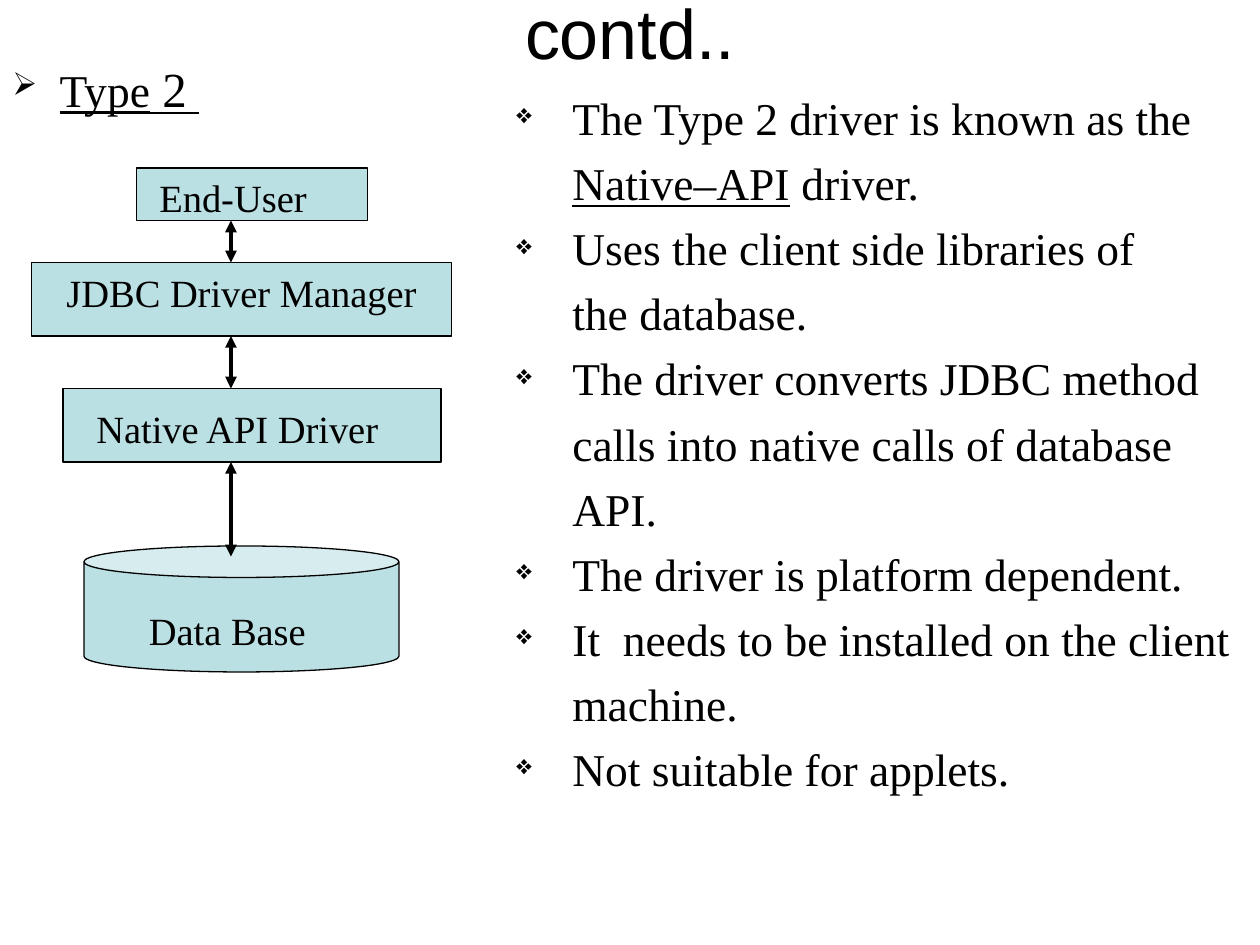
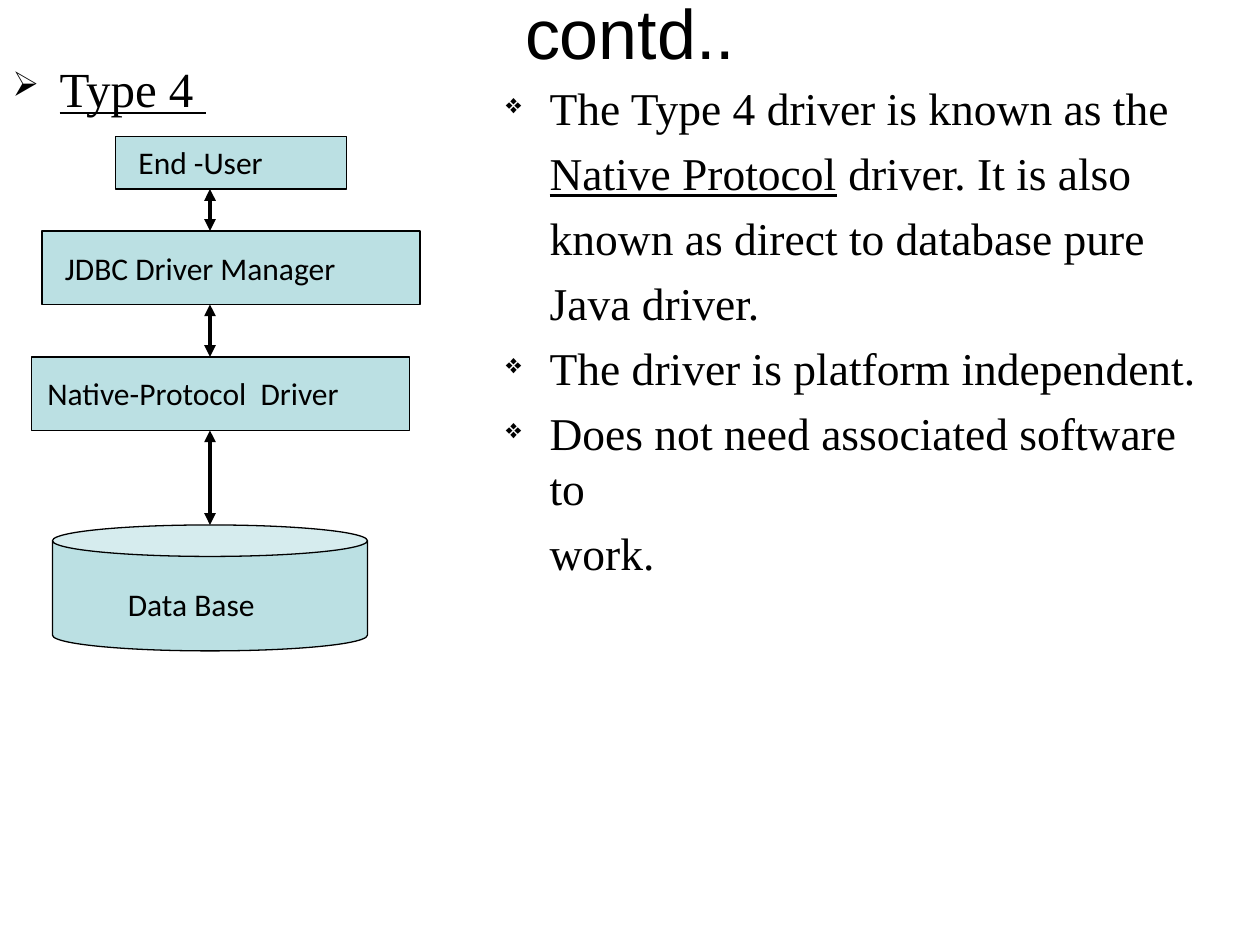
from lxml import etree
from pptx import Presentation
from pptx.dml.color import RGBColor
from pptx.enum.shapes import MSO_CONNECTOR, MSO_SHAPE
from pptx.enum.text import MSO_ANCHOR, MSO_AUTO_SIZE, PP_ALIGN
from pptx.oxml.ns import qn
from pptx.util import Pt

BLACK = RGBColor(0x00, 0x00, 0x00)
TEAL = RGBColor(0xBB, 0xE0, 0xE3)
SERIF = "Times New Roman"
SANS = "Calibri"
RECT = MSO_SHAPE.RECTANGLE
CAN = MSO_SHAPE.CAN
LINE = MSO_CONNECTOR.STRAIGHT
LEFT = PP_ALIGN.LEFT
MID = PP_ALIGN.CENTER
TOP = MSO_ANCHOR.TOP
CENTER = MSO_ANCHOR.MIDDLE
FIXED = MSO_AUTO_SIZE.NONE

TYPE_TWO = {
    "title": (0, 6, 720, 24),
    "head": "_Type__ 2 _",
    "sizes": (26, 28),
    "font": SERIF,
    "size": 22,
    "parts": [(RECT, 78, 96, 132, 30), (RECT, 18, 150, 240, 42),
              (RECT, 36, 222, 216, 42), (CAN, 48, 312, 180, 72)],
    "labels": [("End-User", 84, 96, 120, LEFT),
               ("JDBC Driver Manager", 18, 150, 240, MID),
               ("Native API Driver", 48, 228, 204, LEFT),
               ("Data Base", 78, 343.5, 120, LEFT)],
    "axis": 132,
    "dip": 6,
    "body": (288, 48, 426, 474),
    "hang": 32,
    "lines": [
        "*The Type 2 driver is known as the",
        "_Native–API_ driver.",
        "*Uses the client side libraries of",
        "the database.",
        "*The driver converts JDBC method",
        "calls into native calls of database",
        "API.",
        "*The driver is platform dependent.",
        "*It  needs to be installed on the client",
        "machine.",
        "*Not suitable for applets.",
    ],
}

TYPE_FOUR = {
    "title": (0, 0, 720, 36),
    "head": "_Type 4 _",
    "sizes": (28,),
    "font": SANS,
    "size": 18,
    "parts": [(RECT, 66, 78, 132, 30), (RECT, 24, 132, 216, 42),
              (RECT, 18, 204, 216, 42), (CAN, 30, 300, 180, 72)],
    "labels": [("End -User", 72, 78, 120, LEFT),
               ("JDBC Driver Manager", 30, 139, 204, LEFT),
               ("Native-Protocol  Driver", 20, 210, 216, LEFT),
               ("Data Base", 66, 331, 120, LEFT)],
    "axis": 120,
    "dip": 0,
    "body": (282, 42, 420, 492),
    "hang": 25,
    "lines": [
        "*The Type 4 driver is known as the",
        "_Native Protocol_ driver. It is also",
        "known as direct to database pure",
        "Java driver.",
        "*The driver is platform independent.",
        "*Does not need associated software to",
        "work.",
    ],
}


def place(shape, box):
    shape.left, shape.top, shape.width, shape.height = map(Pt, box)


def mark(para, sign, share, hang):
    props = para._p.get_or_add_pPr()
    props.set("marL", str(Pt(hang)))
    props.set("indent", str(-Pt(hang) if sign else 0))
    if sign:
        etree.SubElement(props, qn("a:buSzPct"), val=str(share * 1000))
        etree.SubElement(props, qn("a:buChar"), char=sign)
    else:
        etree.SubElement(props, qn("a:buNone"))


def write(para, text, font=SERIF, size=26, align=LEFT, before=0):
    para.alignment = align
    para.space_before = Pt(before)
    for spot, piece in enumerate(text.split("_")):
        if piece:
            run = para.add_run()
            run.text = piece
            run.font.name = font
            run.font.size = Pt(size)
            run.font.color.rgb = BLACK
            run.font.underline = spot % 2 == 1


def add_box(slide, box):
    shape = slide.shapes.add_textbox(*map(Pt, box))
    frame = shape.text_frame
    frame.word_wrap = True
    frame.auto_size = FIXED
    return frame


def add_title(slide, box):
    title = slide.shapes.title
    place(title, box)
    frame = title.text_frame
    frame.auto_size = FIXED
    frame.vertical_anchor = CENTER
    write(frame.paragraphs[0], "contd..", font="Arial", size=40, align=MID)


def add_head(slide, text, sizes):
    para = add_box(slide, (0, 30, 720, 30)).paragraphs[0]
    write(para, text, before=7)
    for run, size in zip(para.runs, sizes):
        run.font.size = Pt(size)
    mark(para, "➢", 70, 27)


def add_part(slide, kind, *box):
    shape = slide.shapes.add_shape(kind, *map(Pt, box))
    shape.shadow.inherit = False
    shape.fill.solid()
    shape.fill.fore_color.rgb = TEAL
    shape.line.color.rgb = BLACK
    shape.line.width = Pt(0.75)


def add_link(slide, axis, start, end):
    link = slide.shapes.add_connector(LINE, Pt(axis), Pt(start), Pt(axis), Pt(end))
    link.line.color.rgb = BLACK
    link.line.width = Pt(2.25)
    stroke = link.line._get_or_add_ln()
    for tag in ("a:headEnd", "a:tailEnd"):
        etree.SubElement(stroke, qn(tag), type="triangle")
    etree.SubElement(link._element.spPr, qn("a:effectLst"))


def add_stack(slide, data):
    parts = data["parts"]
    for part in parts:
        add_part(slide, *part)
    for upper, lower in zip(parts, parts[1:]):
        dip = data["dip"] if lower[0] == CAN else 0
        add_link(slide, data["axis"], upper[2] + upper[4], lower[2] + dip)
    for text, left, top, width, align in data["labels"]:
        frame = add_box(slide, (left, top, width, data["size"] * 1.2 + 7.2))
        frame.vertical_anchor = TOP
        write(frame.paragraphs[0], text, font=data["font"], size=data["size"], align=align)


def add_body(slide, box, lines, hang):
    frame = add_box(slide, box)
    for spot, line in enumerate(lines):
        para = frame.add_paragraph() if spot else frame.paragraphs[0]
        write(para, line.lstrip("*"), before=6)
        mark(para, "❖" if line.startswith("*") else "", 60, hang)


def main():
    deck = Presentation()
    deck.slide_width, deck.slide_height = Pt(720), Pt(540)
    for data in (TYPE_TWO, TYPE_FOUR):
        slide = deck.slides.add_slide(deck.slide_layouts[5])
        add_title(slide, data["title"])
        add_head(slide, data["head"], data["sizes"])
        add_stack(slide, data)
        add_body(slide, data["body"], data["lines"], data["hang"])
    deck.save("out.pptx")


if __name__ == "__main__":
    main()
